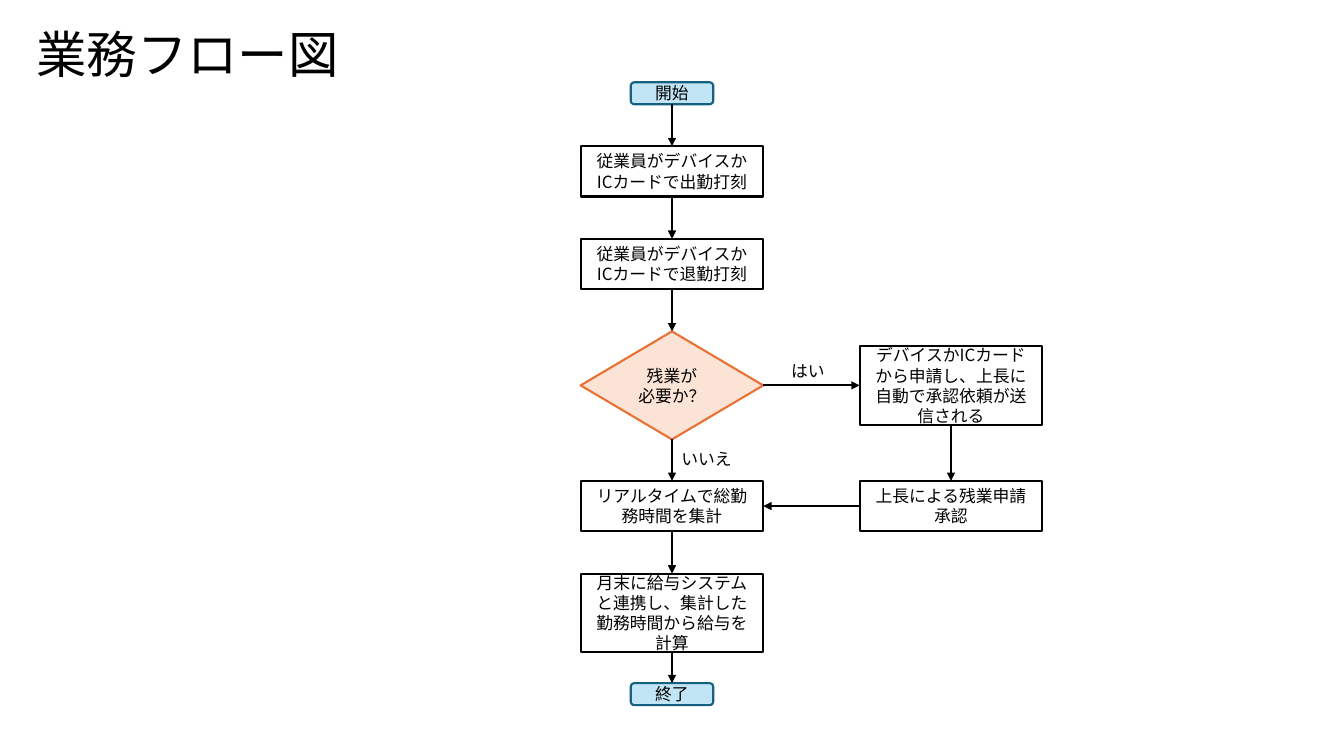
from lxml import etree
from pptx import Presentation
from pptx.dml.color import RGBColor
from pptx.enum import shapes, text
from pptx.oxml.ns import qn
from pptx.util import Pt

FONT = "Noto Sans CJK JP"
BLACK, WHITE = "000000", "FFFFFF"
MAIN_X, OVERTIME_X = 480, 679.3
STEP_W, TERMINAL_W, TERMINAL_H = 130.4, 59, 15.7
SHORT_H, TALL_H, DECISION_H = 36, 56.2, 77.2
TOP, LEFT, BOTTOM, RIGHT = range(4)
KIND = shapes.MSO_SHAPE


def rgb(color):
    return RGBColor.from_string(color)


def write(tf, lines, size, align):
    """Fill a text frame, one paragraph per line, with Latin and East Asian fonts."""
    tf.word_wrap = True
    tf.text = "\n".join(lines)
    for p in tf.paragraphs:
        p.alignment = align
        p.font.size = Pt(size)
        p.font.name = FONT
        p.font.color.rgb = rgb(BLACK)
        latin = p._p.pPr.find(qn("a:defRPr")).find(qn("a:latin"))
        ea = etree.Element(qn("a:ea"), typeface=FONT)
        latin.addnext(ea)


def add_title(slide, title):
    sp = slide.shapes.title
    sp.left, sp.top, sp.width, sp.height = Pt(18.7), Pt(23), Pt(293.8), Pt(36)
    tf = sp.text_frame
    write(tf, [title], 36, text.PP_ALIGN.LEFT)
    tf.auto_size = text.MSO_AUTO_SIZE.NONE
    tf.vertical_anchor = text.MSO_ANCHOR.MIDDLE
    tf.paragraphs[0].line_spacing = 0.9


def add_node(slide, kind, center, top, width, height, lines, fill, line):
    sp = slide.shapes.add_shape(
        kind, Pt(center - width / 2), Pt(top), Pt(width), Pt(height))
    sp.shadow.inherit = False
    sp.fill.solid()
    sp.fill.fore_color.rgb = rgb(fill)
    sp.line.color.rgb = rgb(line)
    sp.line.width = Pt(1.5)
    sp.text_frame.vertical_anchor = text.MSO_ANCHOR.MIDDLE
    write(sp.text_frame, lines, 12, text.PP_ALIGN.CENTER)
    return sp


def add_terminal(slide, top, label):
    return add_node(slide, KIND.ROUNDED_RECTANGLE, MAIN_X, top, TERMINAL_W,
                    TERMINAL_H, [label], "C1E5F5", "156082")


def add_step(slide, center, top, height, label):
    return add_node(slide, KIND.RECTANGLE, center, top, STEP_W, height,
                    [label], WHITE, BLACK)


def add_decision(slide, top, lines):
    return add_node(slide, KIND.FLOWCHART_DECISION, MAIN_X, top, STEP_W,
                    DECISION_H, lines, "FBE3D6", "E97132")


def add_arrow(slide, source, target, start=BOTTOM, end=TOP):
    arrow = slide.shapes.add_connector(shapes.MSO_CONNECTOR.STRAIGHT, 0, 0, 0, 0)
    arrow.begin_connect(source, start)
    arrow.end_connect(target, end)
    arrow.line.color.rgb = rgb(BLACK)
    arrow.line.width = Pt(1.5)
    etree.SubElement(arrow.line._get_or_add_ln(), qn("a:tailEnd"), type="triangle")
    etree.SubElement(arrow._element.spPr, qn("a:effectLst"))


def add_label(slide, left, top, width, label):
    box = slide.shapes.add_textbox(Pt(left), Pt(top), Pt(width), Pt(21.8))
    write(box.text_frame, [label], 12, text.PP_ALIGN.LEFT)


def main():
    prs = Presentation()
    prs.slide_width, prs.slide_height = Pt(960), Pt(540)
    slide = prs.slides.add_slide(prs.slide_layouts[5])
    add_title(slide, "業務フロー図")

    start = add_terminal(slide, 58.8, "開始")
    clock_in = add_step(slide, MAIN_X, 104.4, SHORT_H,
                        "従業員がデバイスかICカードで出勤打刻")
    clock_out = add_step(slide, MAIN_X, 170.6, SHORT_H,
                         "従業員がデバイスかICカードで退勤打刻")
    decision = add_decision(slide, 236.7, ["残業が", "必要か？"])
    request = add_step(slide, OVERTIME_X, 247.2, TALL_H,
                       "デバイスかICカードから申請し、上長に自動で承認依頼が送信される")
    approval = add_step(slide, OVERTIME_X, 343.5, SHORT_H, "上長による残業申請承認")
    total = add_step(slide, MAIN_X, 343.5, SHORT_H, "リアルタイムで総勤務時間を集計")
    payroll = add_step(slide, MAIN_X, 409.7, TALL_H,
                       "月末に給与システムと連携し、集計した勤務時間から給与を計算")
    finish = add_terminal(slide, 488, "終了")

    main_flow = [start, clock_in, clock_out, decision, total, payroll, finish]
    for source, target in zip(main_flow, main_flow[1:]):
        add_arrow(slide, source, target)
    add_arrow(slide, decision, request, RIGHT, LEFT)
    add_arrow(slide, request, approval)
    add_arrow(slide, approval, total, LEFT, RIGHT)

    add_label(slide, 558, 254, 43.4, "はい")
    add_label(slide, 479.6, 317, 52.6, "いいえ")
    prs.save("out.pptx")


if __name__ == "__main__":
    main()
